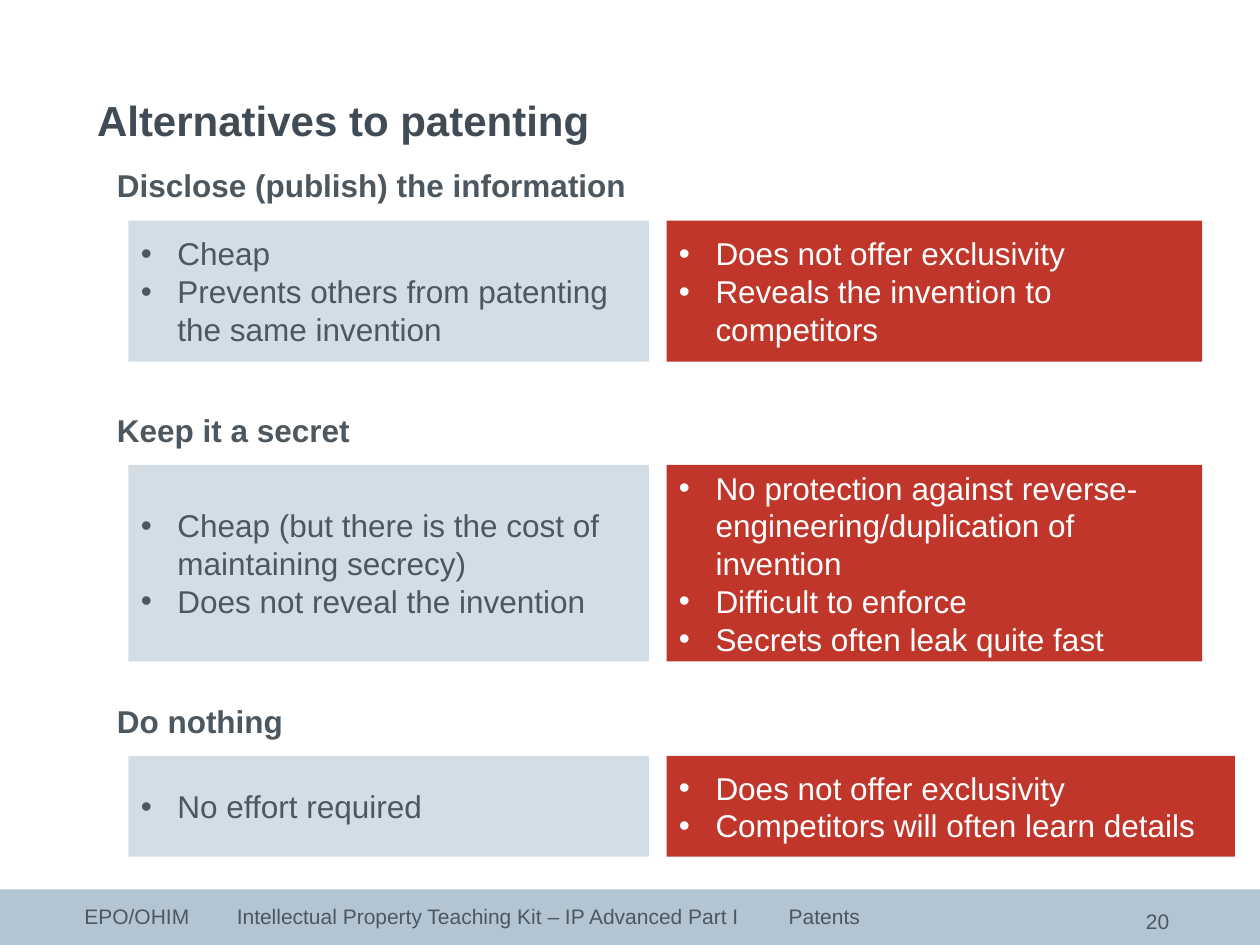
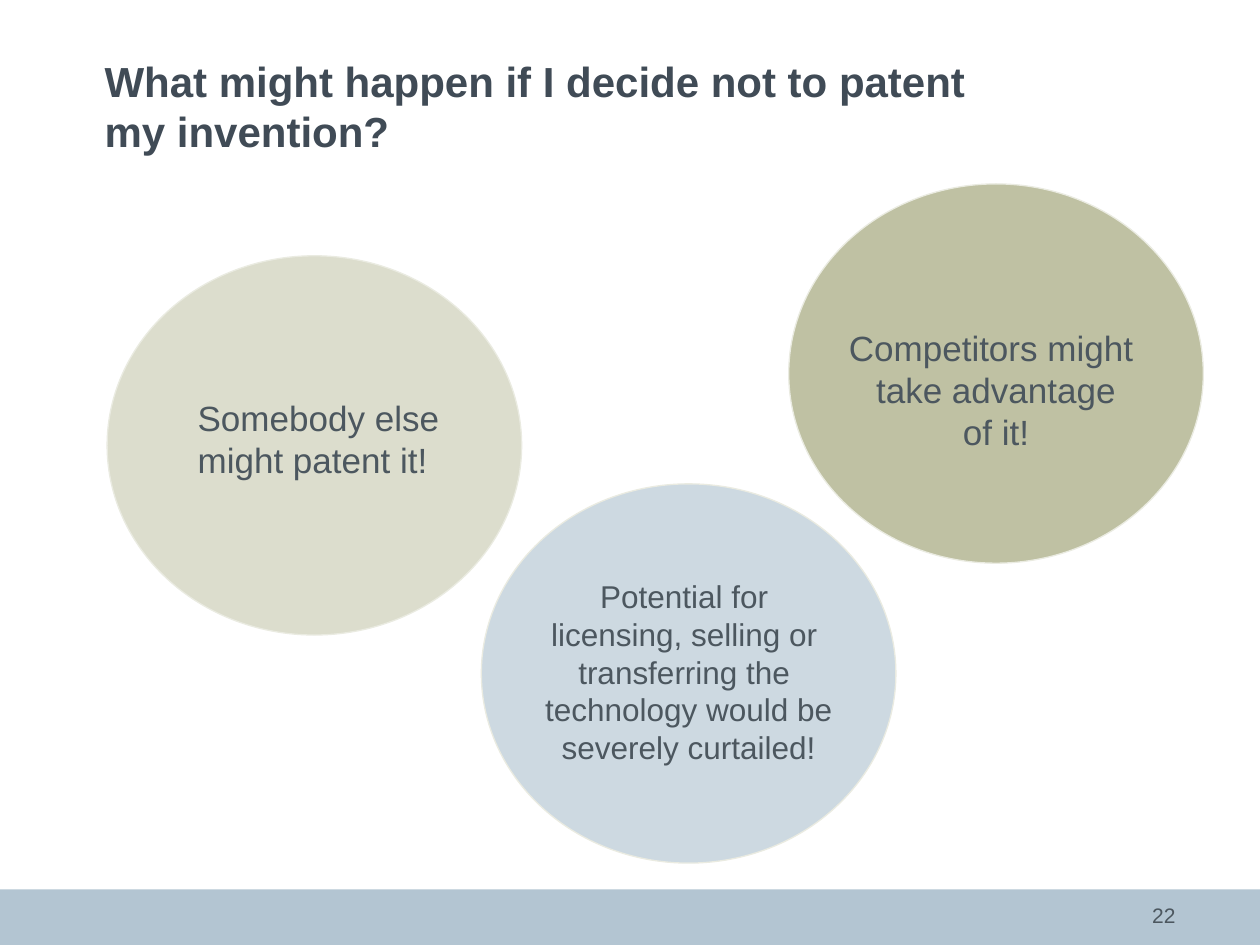
from lxml import etree
from pptx import Presentation
from pptx.dml.color import RGBColor
from pptx.enum.shapes import MSO_SHAPE
from pptx.enum.text import MSO_ANCHOR, MSO_AUTO_SIZE, PP_ALIGN
from pptx.oxml.ns import qn
from pptx.util import Inches, Pt

RECT, OVAL = MSO_SHAPE.RECTANGLE, MSO_SHAPE.OVAL
TOP, MIDDLE = MSO_ANCHOR.TOP, MSO_ANCHOR.MIDDLE
LEFT, CENTER, RIGHT = PP_ALIGN.LEFT, PP_ALIGN.CENTER, PP_ALIGN.RIGHT
FIXED = MSO_AUTO_SIZE.NONE

FONT = "Arial"
TITLE, INK, WHITE = "404B56", "4C575F", "FFFFFF"
BAND, PRO, CON = "B3C5D2", "D3DDE5", "C0362B"
SAND, OLIVE, SKY, RIM = "DCDDCD", "BFC1A3", "CDD9E1", "EAEBE1"

PRO_X, PRO_W = 1.02, 4.13
CON_X = 5.29
HEAD_X, HEAD_RISE = 0.83, 0.48
OVAL_W, OVAL_H = 3.29, 3.01


def rgb(code):
    return RGBColor.from_string(code)


def write(shape, lines, size=18, color=INK, bold=False, align=LEFT,
          anchor=TOP, inset=(0.1, 0.05), indent=0, bullet=False, tabs=()):
    """Fill a shape with one paragraph per line; lengths are inches."""
    frame = shape.text_frame
    frame.word_wrap = True
    frame.auto_size = FIXED
    frame.vertical_anchor = anchor
    frame.margin_left = frame.margin_right = Inches(inset[0])
    frame.margin_top = frame.margin_bottom = Inches(inset[1])
    for i, line in enumerate(lines):
        para = frame.add_paragraph() if i else frame.paragraphs[0]
        para.text = line
        para.alignment = align
        for run in para.runs:
            font = run.font
            font.name, font.size, font.bold = FONT, Pt(size), bold
            font.color.rgb = rgb(color)
        props = para._p.get_or_add_pPr()
        if indent:
            props.set("marL", str(Inches(indent)))
        if bullet:
            props.set("indent", str(-Inches(indent)))
            etree.SubElement(props, qn("a:buFont"), typeface=FONT)
            etree.SubElement(props, qn("a:buChar"), char="•")
        if tabs:
            stops = etree.SubElement(props, qn("a:tabLst"))
            for pos in tabs:
                etree.SubElement(stops, qn("a:tab"),
                                 pos=str(Inches(pos)), algn="l")


def label(slide, box, lines, **style):
    text = slide.shapes.add_textbox(*map(Inches, box))
    write(text, lines, **style)


def draw(slide, kind, box, fill, line=None):
    shape = slide.shapes.add_shape(kind, *map(Inches, box))
    shape.shadow.inherit = False
    shape.fill.solid()
    shape.fill.fore_color.rgb = rgb(fill)
    if line:
        shape.line.color.rgb = rgb(line)
        shape.line.width = Pt(0.75)
    else:
        shape.line.fill.background()
    return shape


def add_band(slide):
    """Put the footer band on the layout, behind its placeholders."""
    band = draw(slide, RECT, (0, 7.06, 10, 0.44), BAND).element
    band.nvSpPr.cNvPr.set("id", "100")
    slide.slide_layout.shapes.element.insert(2, band)


def set_title(slide, box, text, **style):
    title = slide.shapes.title
    title.left, title.top, title.width, title.height = map(Inches, box)
    write(title, [text], size=24, color=TITLE, bold=True, **style)


def add_number(slide, left, top, number):
    label(slide, (left, top, 0.83, 0.24), [number], size=12,
          align=RIGHT, anchor=MIDDLE, inset=(0, 0))


def add_option(slide, top, height, head, pros, cons, con_w=4.25):
    """Heading above a box of benefits and a box of drawbacks."""
    label(slide, (HEAD_X, top - HEAD_RISE, 4.44, 0.4), [head], bold=True)
    for left, width, fill, color, points in (
            (PRO_X, PRO_W, PRO, INK, pros),
            (CON_X, con_w, CON, WHITE, cons)):
        card = draw(slide, RECT, (left, top, width, height), fill)
        write(card, points, color=color, anchor=MIDDLE,
              indent=0.29, bullet=True)


def add_risk(slide, left, top, fill, text, box, **style):
    """Oval with a text box placed relative to its corner."""
    draw(slide, OVAL, (left, top, OVAL_W, OVAL_H), fill, RIM)
    dx, dy, width, height = box
    label(slide, (left + dx, top + dy, width, height), [text], **style)


def build_options(slide):
    set_title(slide, (0.67, 0.44, 8.66, 1.02), "Alternatives to patenting",
              anchor=MIDDLE)
    add_option(slide, 1.75, 1.12, "Disclose (publish) the information",
               ["Cheap", "Prevents others from patenting the same invention"],
               ["Does not offer exclusivity",
                "Reveals the invention to competitors"])
    add_option(slide, 3.69, 1.56, "Keep it a secret",
               ["Cheap (but there is the cost of maintaining secrecy)",
                "Does not reveal the invention"],
               ["No protection against reverse-engineering/duplication"
                " of invention",
                "Difficult to enforce", "Secrets often leak quite fast"])
    add_option(slide, 6, 0.8, "Do nothing", ["No effort required"],
               ["Does not offer exclusivity",
                "Competitors will often learn details"], con_w=4.51)
    label(slide, (0.67, 7.17, 6.46, 0.3),
          ["EPO/OHIM\tIntellectual Property Teaching Kit"
           " – IP Advanced Part I\tPatents"],
          size=12, inset=(0, 0), tabs=(1.21, 5.59))
    add_number(slide, 8.45, 7.19, "20")


def build_risks(slide):
    set_title(slide, (0.83, 0.44, 8.86, 1.24),
              "What might happen if I decide not to patent \vmy invention?",
              inset=(0, 0))
    add_risk(slide, 0.85, 2.03, SAND, "Somebody else might patent it!",
             (0.12, 1.07, 3.11, 0.77), size=20, indent=0.5)
    add_risk(slide, 6.26, 1.46, OLIVE,
             "Competitors might \vtake advantage\vof it!",
             (0.09, 1.08, 3.11, 1.11), size=20, align=CENTER)
    add_risk(slide, 3.82, 3.84, SKY,
             "Potential for \vlicensing, selling or \vtransferring the \v"
             "technology would be severely curtailed!",
             (0, 0.69, OVAL_W, 1.62), align=CENTER)
    add_number(slide, 8.5, 7.14, "22")


def main():
    deck = Presentation()
    deck.slide_width, deck.slide_height = Inches(10), Inches(7.5)
    layout = deck.slide_layouts.get_by_name("Title Only")
    first, second = (deck.slides.add_slide(layout) for _ in range(2))
    add_band(first)
    build_options(first)
    build_risks(second)
    deck.save("out.pptx")


if __name__ == "__main__":
    main()
